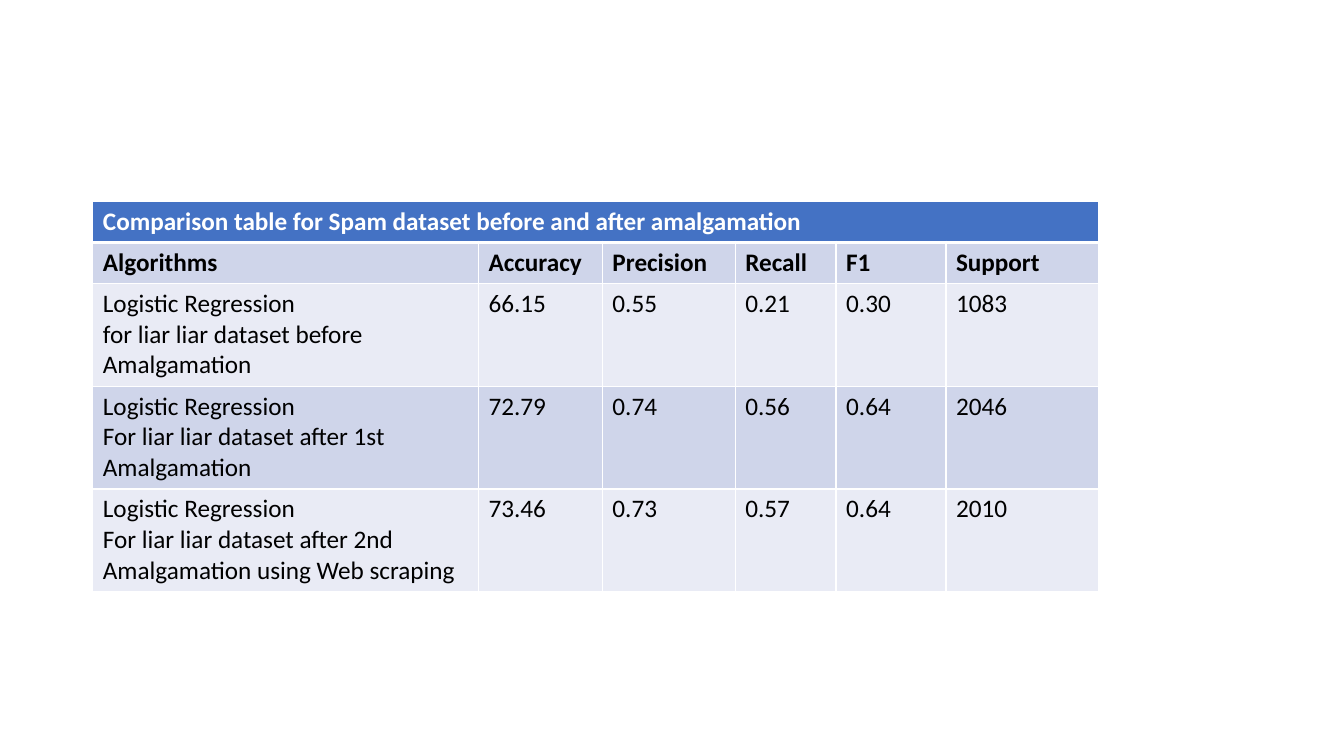
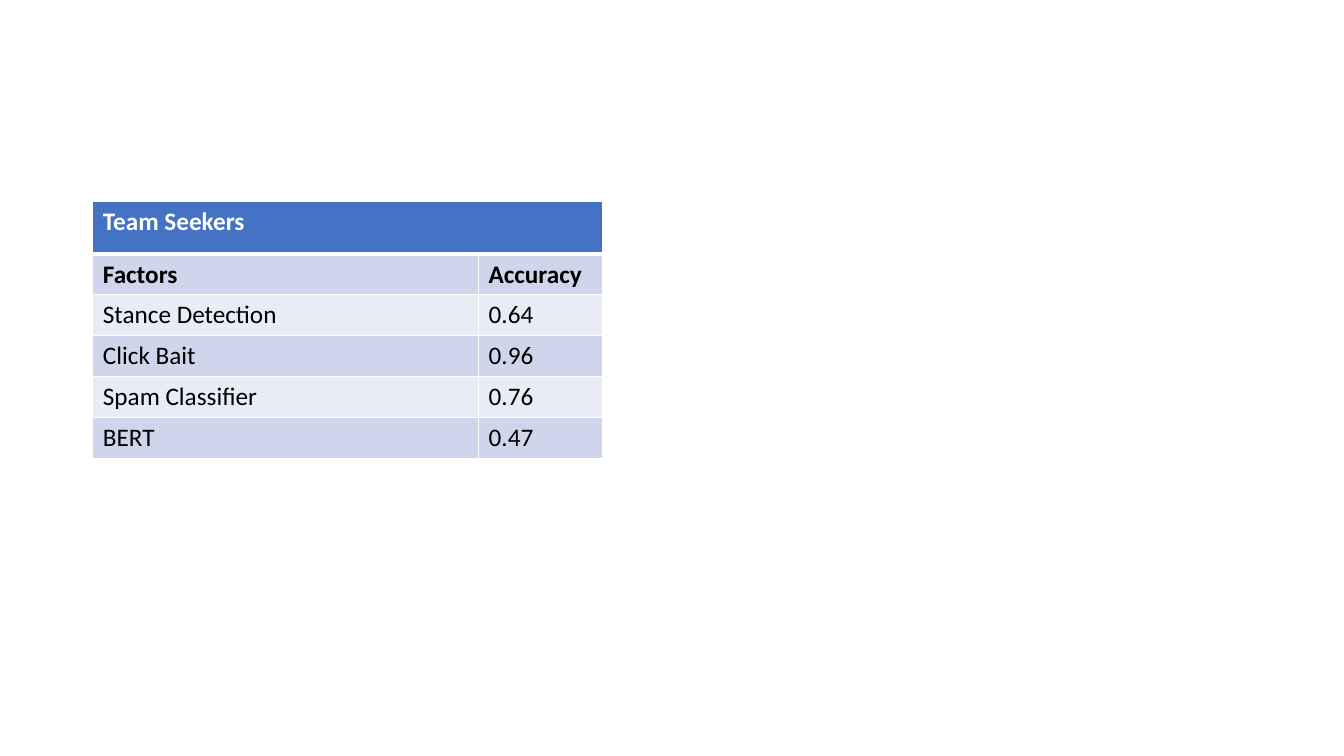
from lxml.etree import SubElement
from pptx import Presentation
from pptx.dml.color import RGBColor
from pptx.oxml.ns import qn
from pptx.util import Cm, Pt

COLORS = {
    "header": "4472C4",
    "band_dark": "CFD5EA",
    "band_light": "E9EBF5",
    "border": "FFFFFF",
    "header_text": "FFFFFF",
    "text": "000000",
}
FONT = "Calibri"
TEXT_SIZE = 18
THIN, THICK = 1, 3
TABLE_LEFT, TABLE_TOP = 2.34, 5.08
LINE_ROW, THREE_LINE_ROW = 1.03, 2.59

COMPARISON_WIDTHS = [9.72, 3.12, 3.35, 2.54, 2.77, 3.84]
COMPARISON_ROWS = [
    ["Algorithms", "Accuracy", "Precision", "Recall", "F1", "Support"],
    ["Logistic Regression\nfor liar liar dataset before Amalgamation",
     "66.15", "0.55", "0.21", "0.30", "1083"],
    ["Logistic Regression\nFor liar liar dataset after 1st Amalgamation",
     "72.79", "0.74", "0.56", "0.64", "2046"],
    ["Logistic Regression\nFor liar liar dataset after 2nd Amalgamation using Web scraping",
     "73.46", "0.73", "0.57", "0.64", "2010"],
]
FACTOR_ROWS = [
    ["Factors", "Accuracy"],
    ["Stance Detection", "0.64"],
    ["Click Bait", "0.96"],
    ["Spam Classifier", "0.76"],
    ["BERT", "0.47"],
]


def set_borders(cell, top, bottom):
    """Draw the four cell borders, with top and bottom widths in points."""
    properties = cell._tc.get_or_add_tcPr()
    widths = {"a:lnL": THIN, "a:lnR": THIN, "a:lnT": top, "a:lnB": bottom}
    for tag, width in widths.items():
        line = SubElement(properties, qn(tag), w=str(Pt(width)))
        fill = SubElement(line, qn("a:solidFill"))
        SubElement(fill, qn("a:srgbClr"), val=COLORS["border"])


def write_cell(cell, text, color, bold):
    """Write each line of the text as a paragraph of one run."""
    frame = cell.text_frame
    for index, line in enumerate(text.split("\n")):
        paragraph = frame.add_paragraph() if index else frame.paragraphs[0]
        run = paragraph.add_run()
        run.text = line
        run.font.name = FONT
        run.font.size = Pt(TEXT_SIZE)
        run.font.bold = bold
        run.font.color.rgb = RGBColor.from_string(COLORS[color])


def style_cell(cell, row_index):
    """Give a cell the borders and the band colour of its row."""
    set_borders(cell, top=THICK if row_index == 1 else THIN,
                bottom=THICK if row_index == 0 else THIN)
    if row_index == 0:
        fill = "header"
    else:
        fill = "band_dark" if row_index % 2 else "band_light"
    cell.fill.solid()
    cell.fill.fore_color.rgb = RGBColor.from_string(COLORS[fill])


def add_banded_table(slide, left, top, heading, rows, widths, heights):
    """Place a banded table with a merged heading row at the given corner."""
    shape = slide.shapes.add_table(
        len(heights), len(widths), Cm(left), Cm(top),
        Cm(sum(widths)), Cm(sum(heights)))
    table = shape.table
    for column, width in zip(table.columns, widths):
        column.width = Cm(width)
    for row_index, (row, height) in enumerate(zip(table.rows, heights)):
        row.height = Cm(height)
        for cell in row.cells:
            style_cell(cell, row_index)

    table.cell(0, 0).merge(table.cell(0, len(widths) - 1))
    write_cell(table.cell(0, 0), heading, "header_text", True)
    for row_index, values in enumerate(rows, start=1):
        for column_index, value in enumerate(values):
            write_cell(table.cell(row_index, column_index), value,
                       "text", row_index == 1)


def add_table_slide(presentation, heading, rows, widths, heights):
    """Add a blank slide that holds one banded table."""
    slide = presentation.slides.add_slide(presentation.slide_layouts[6])
    add_banded_table(slide, TABLE_LEFT, TABLE_TOP, heading, rows, widths, heights)


def main():
    """Build and save the presentation."""
    presentation = Presentation()
    presentation.slide_width = Cm(33.87)
    presentation.slide_height = Cm(19.05)
    add_table_slide(
        presentation, "Comparison table for Spam dataset before and after amalgamation",
        COMPARISON_ROWS, COMPARISON_WIDTHS, [LINE_ROW] * 2 + [THREE_LINE_ROW] * 3)
    add_table_slide(
        presentation, "Team Seekers",
        FACTOR_ROWS, COMPARISON_WIDTHS[:2], [1.32] + [LINE_ROW] * len(FACTOR_ROWS))
    presentation.save("out.pptx")


main()
